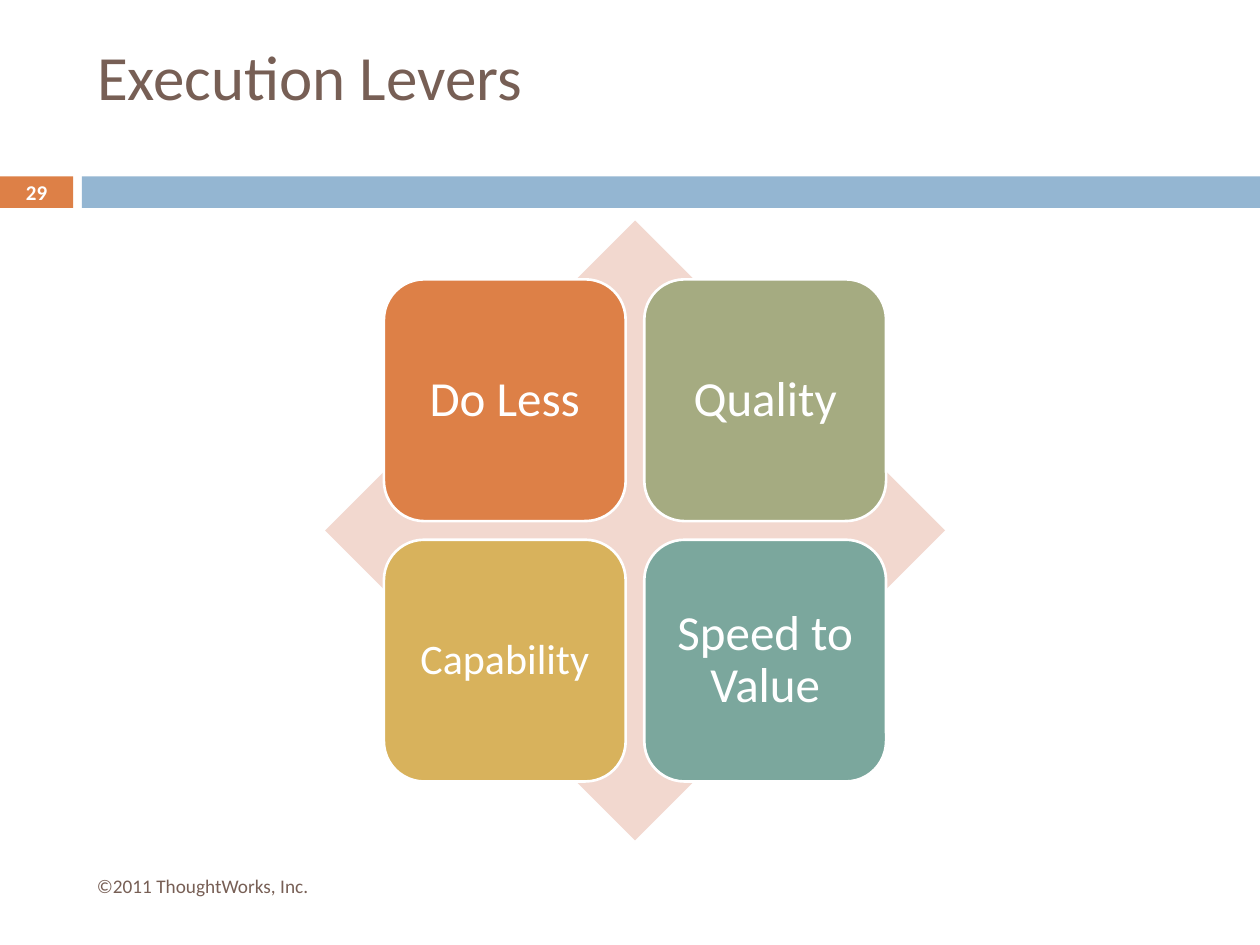
from pptx import Presentation
from pptx.dml.color import RGBColor
from pptx.enum.shapes import MSO_SHAPE
from pptx.enum.text import MSO_ANCHOR, PP_ALIGN
from pptx.util import Inches, Pt

BROWN, WHITE, ORANGE, BLUE = "775F55", "FFFFFF", "DD8047", "94B6D2"


def write(box, text, size, color, bold=False, align=PP_ALIGN.LEFT,
          anchor=MSO_ANCHOR.MIDDLE, inset=0.1, spacing=1.0):
    frame = box.text_frame
    frame.word_wrap = True
    frame.vertical_anchor = anchor
    frame.margin_left = frame.margin_right = Inches(inset)
    frame.margin_top = frame.margin_bottom = Inches(min(inset, 0.05))
    para = frame.paragraphs[0]
    para.alignment = align
    para.line_spacing = spacing
    span = para.add_run()
    span.text = text
    span.font.name = "Calibri"
    span.font.size = Pt(size)
    span.font.bold = bold
    span.font.color.rgb = RGBColor.from_string(color)


def draw(kind, left, top, width, height, fill, line=None):
    shape = page.shapes.add_shape(
        kind, Inches(left), Inches(top), Inches(width), Inches(height))
    shape.shadow.inherit = False
    shape.fill.solid()
    shape.fill.fore_color.rgb = RGBColor.from_string(fill)
    if line:
        shape.line.color.rgb = RGBColor.from_string(line)
        shape.line.width = Pt(1.5)
    else:
        shape.line.fill.background()
    return shape


deck = Presentation()
deck.slide_width, deck.slide_height = Inches(10), Inches(7.5)
page = deck.slides.add_slide(deck.slide_layouts[5])

# Title
title = page.shapes.title
title.left, title.top = Inches(0.67), Inches(0.25)
title.width, title.height = Inches(8.92), Inches(1.08)
write(title, "Execution Levers", 36, BROWN, anchor=MSO_ANCHOR.TOP)

# Band with the page number
number = draw(MSO_SHAPE.RECTANGLE, 0, 1.4, 0.58, 0.25, ORANGE)
write(number, "29", 12, WHITE, bold=True, align=PP_ALIGN.CENTER, inset=0)
draw(MSO_SHAPE.RECTANGLE, 0.65, 1.4, 9.35, 0.25, BLUE)

# Diamond behind the levers
left, top, side = 2.58, 1.75, 4.92
draw(MSO_SHAPE.DIAMOND, left, top, side, side, "F2D8CF")

# Two-by-two grid of levers, sized as shares of the diamond
tile, margin = 0.39 * side, 0.095 * side
step = side - 2 * margin - tile
levers = [
    ("Do Less", ORANGE, 28),
    ("Quality", "A5AB81", 28),
    ("Capability", "D8B25C", 24),
    ("Speed to Value", "7BA79D", 28),
]
for index, (name, fill, size) in enumerate(levers):
    row, column = divmod(index, 2)
    lever = draw(MSO_SHAPE.ROUNDED_RECTANGLE, left + margin + column * step,
                 top + margin + row * step, tile, tile, fill, WHITE)
    write(lever, name, size, WHITE, align=PP_ALIGN.CENTER, inset=0.12, spacing=0.9)

# Footer
footer = page.shapes.add_textbox(Inches(0.67), Inches(6.83), Inches(5.93), Inches(0.4))
write(footer, "©2011 ThoughtWorks, Inc.", 11, BROWN)

deck.save("out.pptx")
